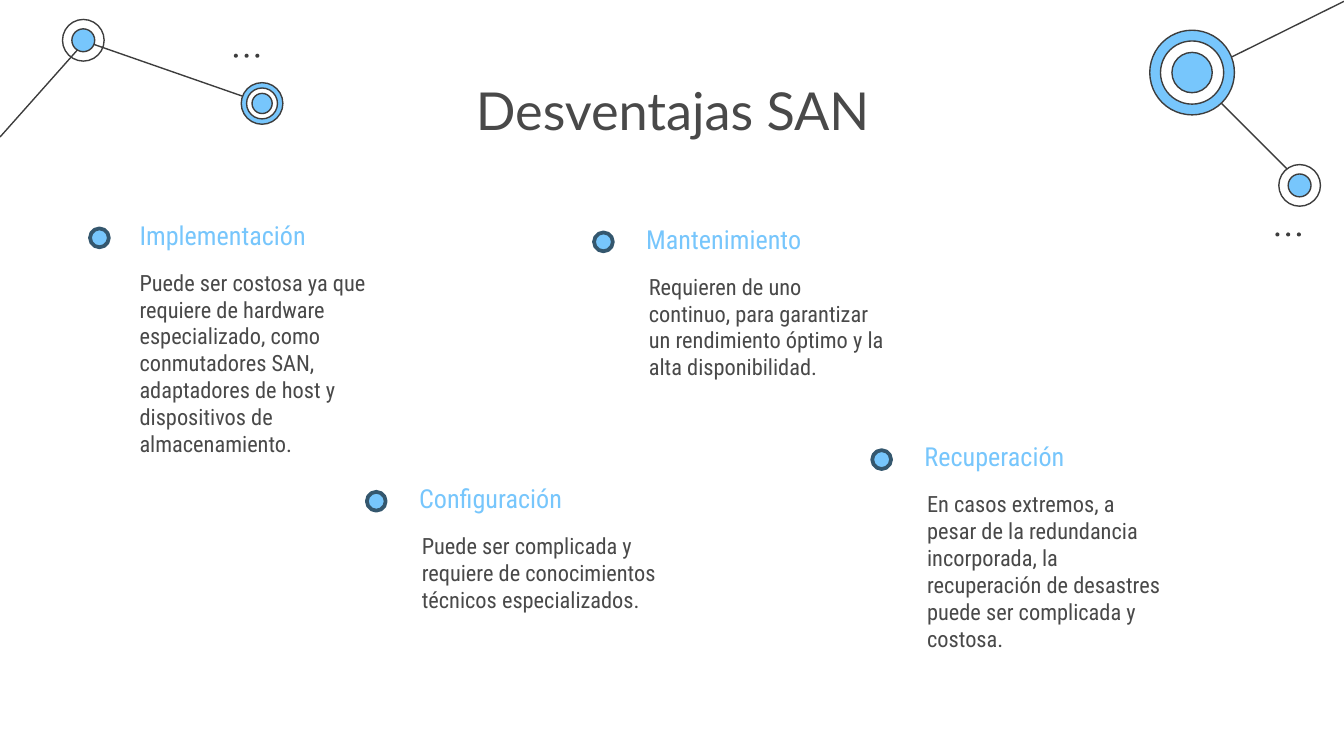
from lxml.etree import SubElement
from pptx import Presentation
from pptx.dml.color import RGBColor
from pptx.enum.shapes import MSO_CONNECTOR, MSO_SHAPE
from pptx.enum.text import MSO_ANCHOR, PP_ALIGN
from pptx.oxml.ns import qn
from pptx.util import Inches, Pt

SKY, INK, WHITE = "77C6FC", "3D3D3D", "FFFFFF"
NAVY, GREY = "34576E", "494949"

TITLE = dict(name="Lato", size=Pt(28), color=GREY)
HEADING = dict(name="Roboto Condensed", size=Pt(14), color=SKY)
BODY = dict(name="Roboto Condensed", size=Pt(12), color=GREY)

# dot left, heading top, heading offset, body offset, body indent, body height, heading, body
ITEMS = [
    (0.67, 1.53, 0.27, 0.27, 0, 1.59, "Implementación",
     "Puede ser costosa ya que requiere de hardware especializado, como "
     "conmutadores SAN, adaptadores de host y dispositivos de almacenamiento."),
    (2.73, 3.49, 0.29, 0.14, 0.17, 0.79, "Configuración",
     "Puede ser complicada y requiere de conocimientos técnicos especializados."),
    (4.42, 1.56, 0.29, 0.14, 0.17, 0.99, "Mantenimiento",
     "Requieren de uno continuo, para garantizar un rendimiento óptimo y la "
     "alta disponibilidad."),
    (6.49, 3.18, 0.29, 0.14, 0.17, 1.41, "Recuperación",
     "En casos extremos, a pesar de la redundancia incorporada, la "
     "recuperación de desastres puede ser complicada y costosa."),
]


def rgb(color):
    return RGBColor.from_string(color)


def add_text(slide, box, text, style, align=PP_ALIGN.LEFT, indent=0):
    tf = slide.shapes.add_textbox(*map(Inches, box)).text_frame
    frame = dict(word_wrap=True, vertical_anchor=MSO_ANCHOR.TOP)
    frame.update({f"margin_{side}": Inches(0.1)
                  for side in ("left", "top", "right", "bottom")})
    for key, value in frame.items():
        setattr(tf, key, value)
    p = tf.paragraphs[0]
    p.alignment = align
    if indent:
        p_pr = p._p.get_or_add_pPr()
        p_pr.set("marL", str(Inches(indent)))
        p_pr.set("indent", "0")
    r = p.add_run()
    r.text = text
    for key, value in style.items():
        if key == "color":
            r.font.color.rgb = rgb(value)
        else:
            setattr(r.font, key, value)


def add_circle(slide, cx, cy, size, fill=None, line=None, width=0.75):
    """Circle around a centre; fill or line may be left out."""
    sp = slide.shapes.add_shape(
        MSO_SHAPE.OVAL, Inches(cx - size / 2), Inches(cy - size / 2),
        Inches(size), Inches(size))
    sp.shadow.inherit = False
    if fill:
        sp.fill.solid()
        sp.fill.fore_color.rgb = rgb(fill)
    else:
        sp.fill.background()
    if line:
        sp.line.color.rgb = rgb(line)
        sp.line.width = Pt(width)
    else:
        sp.line.fill.background()


def add_link(slide, *ends):
    cxn = slide.shapes.add_connector(MSO_CONNECTOR.STRAIGHT, *map(Inches, ends))
    cxn.line.color.rgb = rgb(INK)
    cxn.line.width = Pt(0.75)
    SubElement(cxn._element.spPr, qn("a:effectLst"))


def add_node(slide, cx, cy, rings):
    """Concentric circles, given as (size, fill) from the outside in."""
    for size, fill in rings:
        add_circle(slide, cx, cy, size, fill, INK)


def add_ellipsis(slide, left, top):
    size, pitch = 0.03, 0.08
    for i in range(3):
        add_circle(slide, left + size / 2 + i * pitch, top + size / 2, size, INK)


def add_left_network(slide, x, y):
    add_link(slide, x + 0.64, y + 0.31, x + 1.96, y + 0.77)
    add_link(slide, x, y + 1.02, x + 0.64, y + 0.3)
    add_node(slide, x + 0.62, y + 0.3, [(0.31, None), (0.17, SKY)])
    add_node(slide, x + 1.95, y + 0.77, [(0.31, SKY), (0.23, WHITE), (0.15, SKY)])
    add_ellipsis(slide, x + 1.74, y + 0.4)


def add_right_network(slide, x, y):
    add_link(slide, x + 1.17, y + 1.35, x + 0.37, y + 0.55)
    add_link(slide, x + 1.5, y + 0.01, x + 0.41, y + 0.55)
    add_node(slide, x + 0.37, y + 0.54, [(0.63, SKY), (0.47, WHITE), (0.3, SKY)])
    add_node(slide, x + 1.17, y + 1.38, [(0.31, WHITE), (0.17, SKY)])
    add_ellipsis(slide, x + 0.99, y + 1.73)


def add_item(slide, x, y, heading_dx, body_dx, indent, height, heading, body):
    width, dot = 2.13, 0.14
    add_text(slide, (x + heading_dx, y, width, 0.41), heading, HEADING)
    add_text(slide, (x + body_dx, y + 0.37, width, height), body, BODY, indent=indent)
    add_circle(slide, x + dot / 2, y + 0.24, dot, SKY, NAVY, 2)


def main():
    prs = Presentation()
    prs.slide_width = Inches(10)
    prs.slide_height = prs.slide_width * 9 // 16
    slide = prs.slides.add_slide(prs.slide_layouts[6])
    add_left_network(slide, 0, 0)
    add_right_network(slide, 8.5, 0)
    add_text(slide, (1.72, 0.48, 6.57, 0.65), "Desventajas SAN", TITLE, PP_ALIGN.CENTER)
    for item in ITEMS:
        add_item(slide, *item)
    prs.save("out.pptx")


if __name__ == "__main__":
    main()
